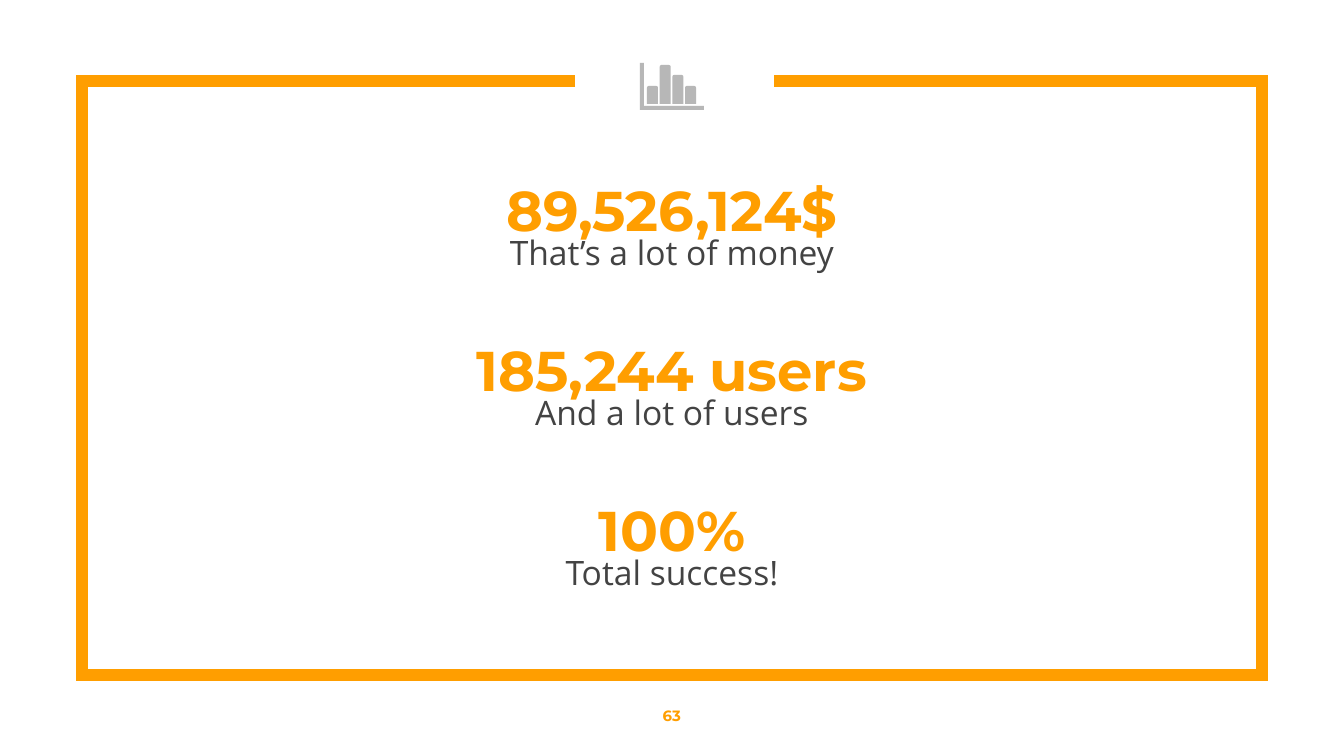
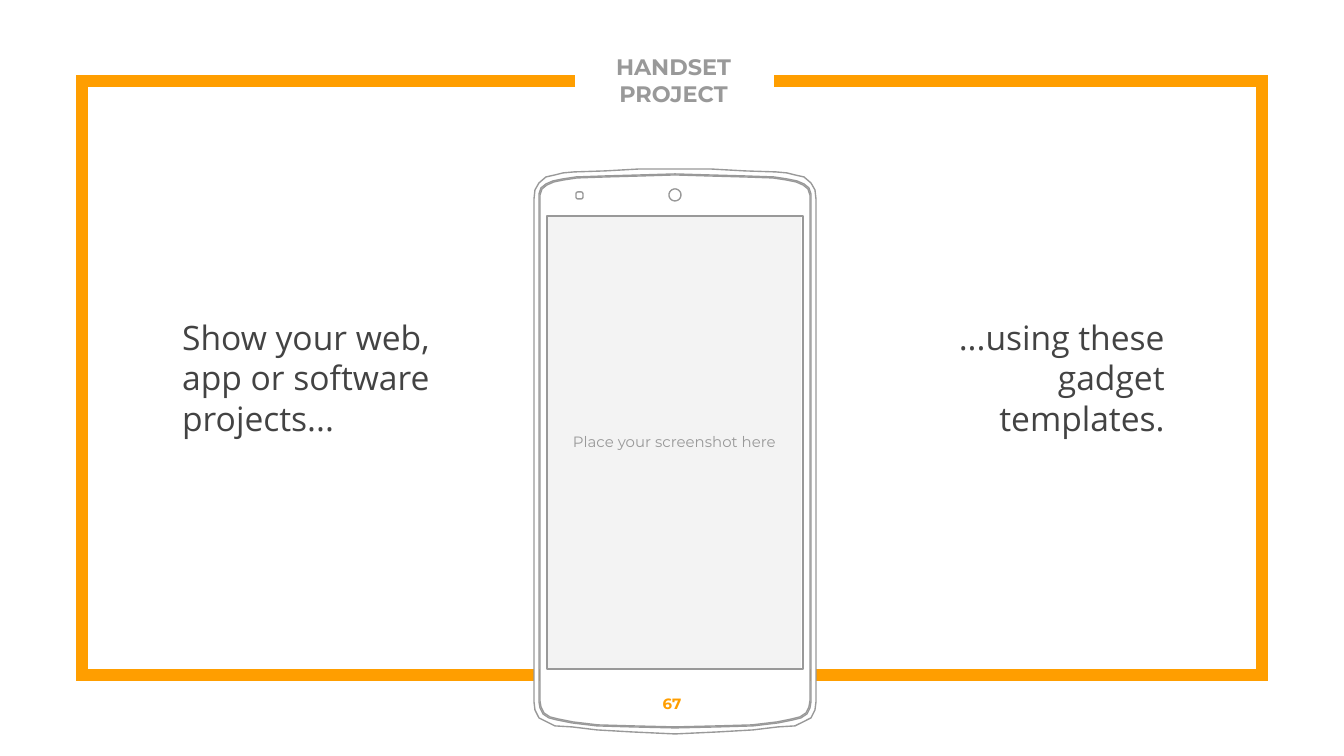
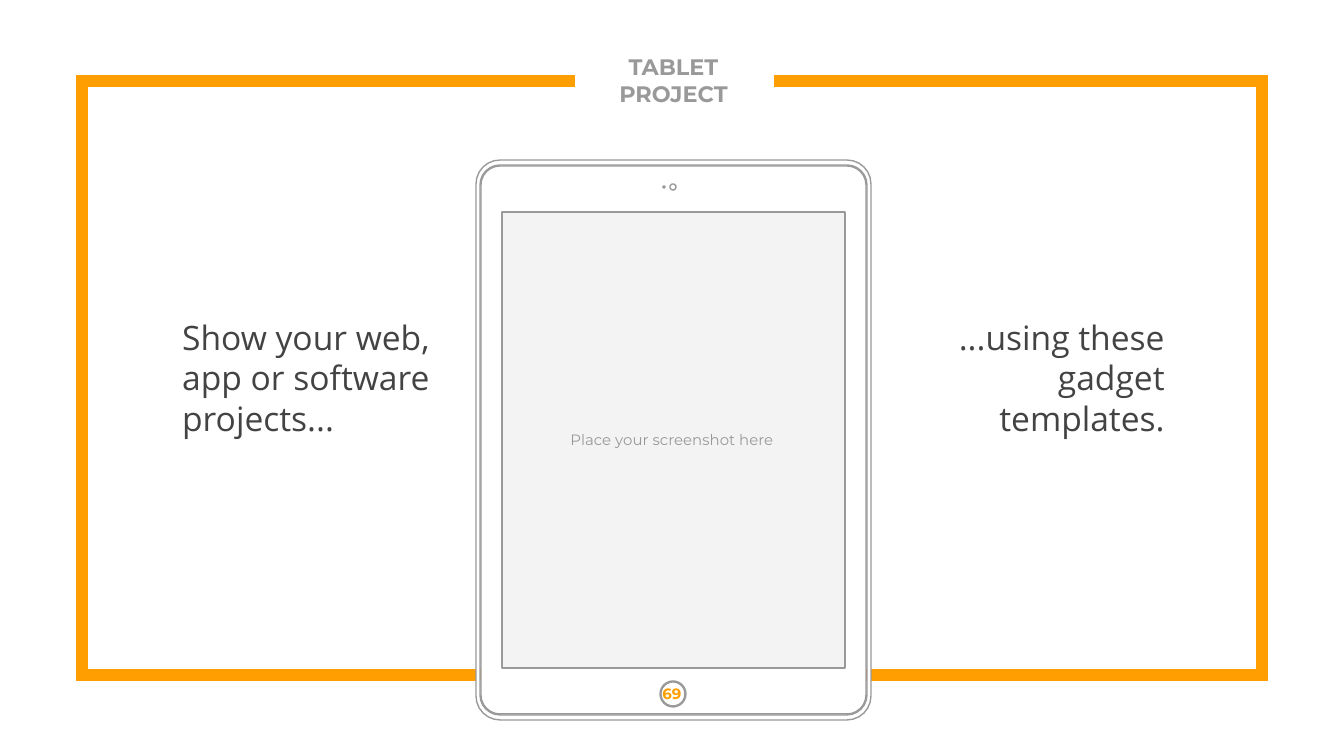
from math import cos, pi, sin

from lxml import etree
from pptx import Presentation
from pptx import util as u
from pptx.dml.color import RGBColor
from pptx.enum import shapes, text
from pptx.oxml.ns import qn

PX = 914400 / 134.4
W, H = 1344, 756
COLORS = {"accent": "FF9E00", "body": "434343", "muted": "999999",
          "icon": "B7B7B7", "screen": "F3F3F3", "white": "FFFFFF"}
HEAD, BODY = "Montserrat", "Open Sans"
LEFT, CENTER, RIGHT = text.PP_ALIGN.LEFT, text.PP_ALIGN.CENTER, text.PP_ALIGN.RIGHT
TOP, MIDDLE = text.MSO_ANCHOR.TOP, text.MSO_ANCHOR.MIDDLE

FIGURES = [
    ("89,526,124$", "That’s a lot of money"),
    ("185,244 users", "And a lot of users"),
    ("100%", "Total success!"),
]
CAPTIONS = [
    ("Show your web, app or software projects...", 169, LEFT),
    ("...using these gadget templates.", 886, RIGHT),
]
FRAME = [(575, 81), (82, 81), (82, 675), (1262, 675), (1262, 81), (774, 81)]
AXES = [(640, 63), (644, 63), (644, 106), (704, 106), (704, 110), (640, 110)]
BAR_TOPS = [86, 65, 75, 86]

PHONE_X = 675
PHONE_EDGE = [(0, 169), (35, 169), (70, 171), (101, 172), (112, 173), (120, 175),
              (129, 177), (136, 183), (140, 190), (141, 199), (141, 702), (140, 710),
              (136, 718), (128, 722), (120, 726), (103, 727), (78, 730), (43, 732), (0, 734)]
PHONE_BEZEL = [(0, 174), (34, 175), (70, 176), (99, 177), (112, 179), (122, 181),
               (129, 184), (134, 188), (136, 194), (136, 199), (136, 702), (135, 708),
               (132, 714), (126, 718), (118, 720), (103, 723), (78, 726), (43, 727), (0, 728)]


def rounded(x, y, w, h, r=0):
    if not r:
        return [(x, y), (x + w, y), (x + w, y + h), (x, y + h)]
    centers = [(x + w - r, y + h - r), (x + r, y + h - r), (x + r, y + r), (x + w - r, y + r)]
    return [(cx + r * cos((q + k / 6) * pi / 2), cy + r * sin((q + k / 6) * pi / 2))
            for q, (cx, cy) in enumerate(centers) for k in range(7)]


def circle(cx, cy, r):
    return rounded(cx - r, cy - r, 2 * r, 2 * r, r)


def mirrored(half):
    return ([(PHONE_X + x, y) for x, y in half]
            + [(PHONE_X - x, y) for x, y in half[-2:0:-1]])


def inset(half):
    return [(max(x - 1, 0), y + 1 if y < H / 2 else y - 1) for x, y in half]


DEVICES = [
    {"title": "HANDSET PROJECT", "number": "67", "number_box": (0, 675, W, 58),
     "screen": (548, 216, 253, 452),
     "outline": [mirrored(PHONE_EDGE), mirrored(PHONE_BEZEL), mirrored(inset(PHONE_BEZEL)),
                 rounded(547, 216, 256, 453), circle(675, 195, 6),
                 rounded(576, 192, 7, 7, 2)]},
    {"title": "TABLET PROJECT", "number": "69", "number_box": (0, 680, W, 28),
     "screen": (500, 211, 344, 457),
     "outline": [rounded(476, 160, 395, 560, 24), rounded(480, 165, 387, 550, 20),
                 rounded(481, 166, 385, 548, 19), rounded(502, 212, 343, 456),
                 circle(673, 694, 13), circle(673, 694, 12),
                 circle(673, 187, 3), circle(664, 187, 1)]},
]


def px(*values):
    return [u.Emu(round(v * PX)) for v in values]


def paint(sp, fill=None, line=None, width=0.75):
    sp.shadow.inherit = False
    for part, color in ((sp.fill, fill), (sp.line.fill, line)):
        if color:
            part.solid()
            part.fore_color.rgb = RGBColor.from_string(COLORS[color])
        else:
            part.background()
    if line:
        sp.line.width = u.Pt(width)
    return sp


def write(sp, content, size, color, font=BODY, bold=False, align=CENTER, anchor=TOP, before=0):
    tf = sp.text_frame
    tf.word_wrap = True
    tf.vertical_anchor = anchor
    tf.margin_left = tf.margin_right = tf.margin_top = tf.margin_bottom = u.Inches(0.1)
    p = tf.paragraphs[0]
    p.alignment = align
    p.space_before = u.Pt(before)
    r = p.add_run()
    r.text = content
    r.font.size, r.font.name, r.font.bold = u.Pt(size), font, bold
    r.font.color.rgb = RGBColor.from_string(COLORS[color])


def add_text(s, box, content, size, color, **fmt):
    write(s.shapes.add_textbox(*px(*box)), content, size, color, **fmt)


def draw(s, contours, closed=True, **style):
    builder = None
    for points in contours:
        start, *rest = [px(*point) for point in points]
        if builder:
            builder.move_to(*start)
        else:
            builder = s.shapes.build_freeform(*start)
        builder.add_line_segments(rest, close=closed)
    return paint(builder.convert_to_shape(), **style)


def add_slide(prs):
    s = prs.slides.add_slide(prs.slide_layouts[6])
    sp = draw(s, [FRAME], closed=False, line="accent", width=6)
    ln = sp._element.spPr.find(qn("a:ln"))
    etree.SubElement(ln, qn("a:miter")).set("lim", "800000")
    return s


def add_number(s, number, box):
    add_text(s, box, number, 8, "accent", font=HEAD, bold=True, anchor=MIDDLE)


def figures_slide(prs):
    s = add_slide(prs)
    for i, (figure, label) in enumerate(FIGURES):
        y = 162 + 160 * i
        add_text(s, (101, y, 1142, 132), figure, 30, "accent", font=HEAD, bold=True)
        add_text(s, (101, y + 57, 1142, 69), label, 18, "body", before=6)
    draw(s, [AXES], fill="icon")
    for i, top in enumerate(BAR_TOPS):
        box = px(647 + 12.7 * i, top, 11, 104 - top)
        paint(s.shapes.add_shape(shapes.MSO_SHAPE.ROUND_2_SAME_RECTANGLE, *box), fill="icon")
    add_number(s, "63", (0, 675, W, 81))


def device_slide(prs, device):
    s = add_slide(prs)
    for caption, x, align in CAPTIONS:
        add_text(s, (x, 190, 292, 375), caption, 18, "body", align=align, anchor=MIDDLE, before=6)
    screen = s.shapes.add_shape(shapes.MSO_SHAPE.RECTANGLE, *px(*device["screen"]))
    write(paint(screen, fill="screen"), "Place your screenshot here", 8, "muted",
          font=HEAD, anchor=MIDDLE)
    add_text(s, (573, 40, 201, 82), device["title"], 12, "muted", font=HEAD, bold=True)
    draw(s, device["outline"], fill="white", line="muted")
    add_number(s, device["number"], device["number_box"])


def main():
    prs = Presentation()
    prs.slide_width, prs.slide_height = px(W, H)
    figures_slide(prs)
    for device in DEVICES:
        device_slide(prs, device)
    prs.save("out.pptx")


if __name__ == "__main__":
    main()
